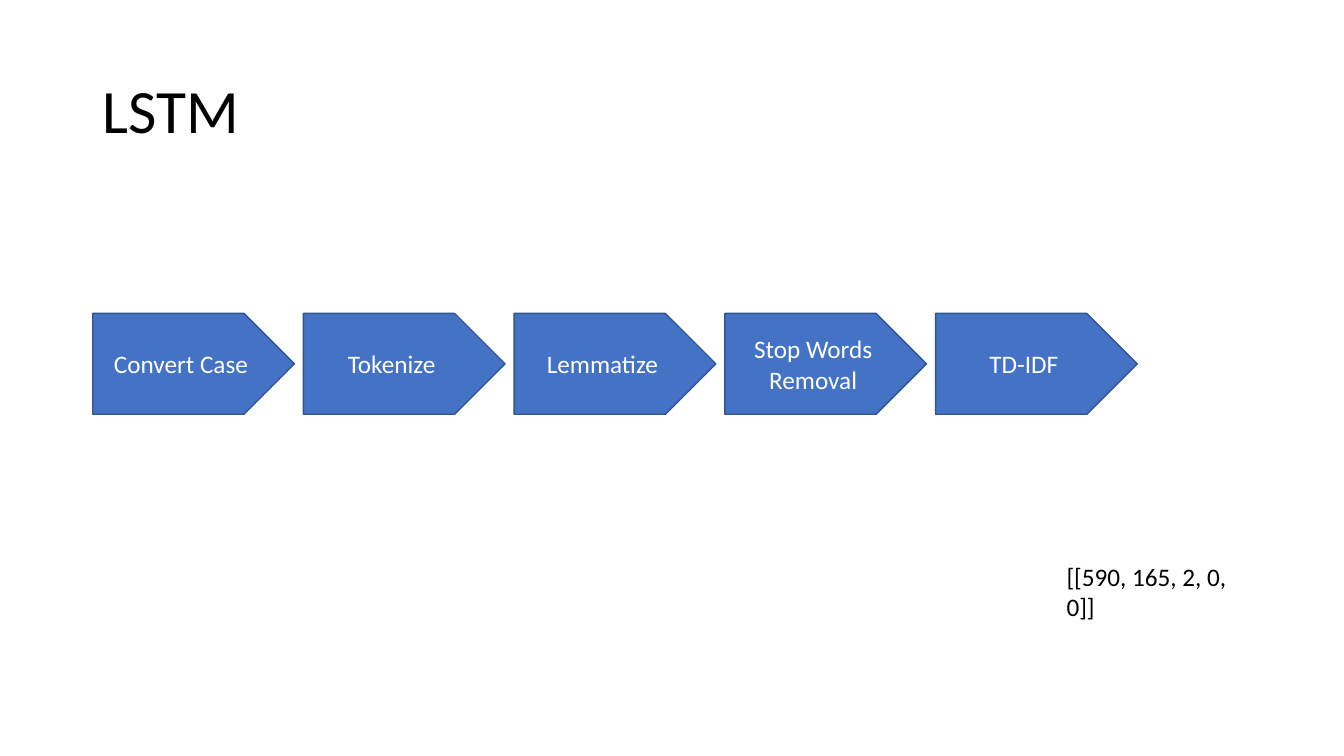
from dataclasses import dataclass

from pptx import Presentation
from pptx.dml.color import RGBColor
from pptx.enum.shapes import MSO_SHAPE
from pptx.enum.text import MSO_ANCHOR as Anchor, PP_ALIGN as Align
from pptx.slide import Slide
from pptx.text.text import TextFrame
from pptx.util import Inches, Pt

COLORS = {"text": "000000", "step": "4472C4", "edge": "325491", "step_text": "FFFFFF"}
FONT = "Calibri"
STEP_LEFT, STEP_TOP, STEP_WIDTH, STEP_HEIGHT, STEP_GAP = 0.92, 3.11, 2, 1, 0.09
STEPS = ["Convert Case", "Tokenize", "Lemmatize", "Stop Words Removal", "TD-IDF"]


@dataclass(frozen=True)
class Label:
    """Free-standing text with its place and style, in inches and points."""
    text: str
    left: float
    top: float
    width: float
    height: float
    size: int
    anchor: Anchor = Anchor.TOP
    line_spacing: float = 1.0


LABELS = [
    Label("LSTM", 0.92, 0.4, 11.5, 1.45, 44, Anchor.MIDDLE, 0.9),
    Label("[[590, 165, 2, 0, 0]]", 10.48, 5.52, 2.07, 0.71, 18),
]


def color(name: str) -> RGBColor:
    """Look up a palette colour."""
    return RGBColor.from_string(COLORS[name])


def write(frame: TextFrame, text: str, size: int, color_name: str,
          align: Align, anchor: Anchor, line_spacing: float = 1.0) -> None:
    """Fill a text frame with one styled paragraph."""
    frame.word_wrap = True
    frame.vertical_anchor = anchor
    paragraph = frame.paragraphs[0]
    paragraph.text = text
    paragraph.alignment = align
    paragraph.line_spacing = line_spacing
    paragraph.font.name = FONT
    paragraph.font.size = Pt(size)
    paragraph.font.color.rgb = color(color_name)


def add_label(slide: Slide, label: Label) -> None:
    """Add a left-aligned text box."""
    box = slide.shapes.add_textbox(Inches(label.left), Inches(label.top),
                                   Inches(label.width), Inches(label.height))
    write(box.text_frame, label.text, label.size, "text", Align.LEFT,
          label.anchor, label.line_spacing)


def add_step(slide: Slide, index: int, text: str) -> None:
    """Add one step of the text-processing pipeline."""
    left = STEP_LEFT + index * (STEP_WIDTH + STEP_GAP)
    step = slide.shapes.add_shape(MSO_SHAPE.PENTAGON, Inches(left), Inches(STEP_TOP),
                                  Inches(STEP_WIDTH), Inches(STEP_HEIGHT))
    step.shadow.inherit = False
    step.fill.solid()
    step.fill.fore_color.rgb = color("step")
    step.line.color.rgb = color("edge")
    step.line.width = Pt(1)
    write(step.text_frame, text, 18, "step_text", Align.CENTER, Anchor.MIDDLE)


def main() -> None:
    """Build and save the slide."""
    deck = Presentation()
    deck.slide_width, deck.slide_height = Inches(13.33), Inches(7.5)
    slide = deck.slides.add_slide(deck.slide_layouts[6])
    for label in LABELS:
        add_label(slide, label)
    for index, text in enumerate(STEPS):
        add_step(slide, index, text)
    deck.save("out.pptx")


main()
